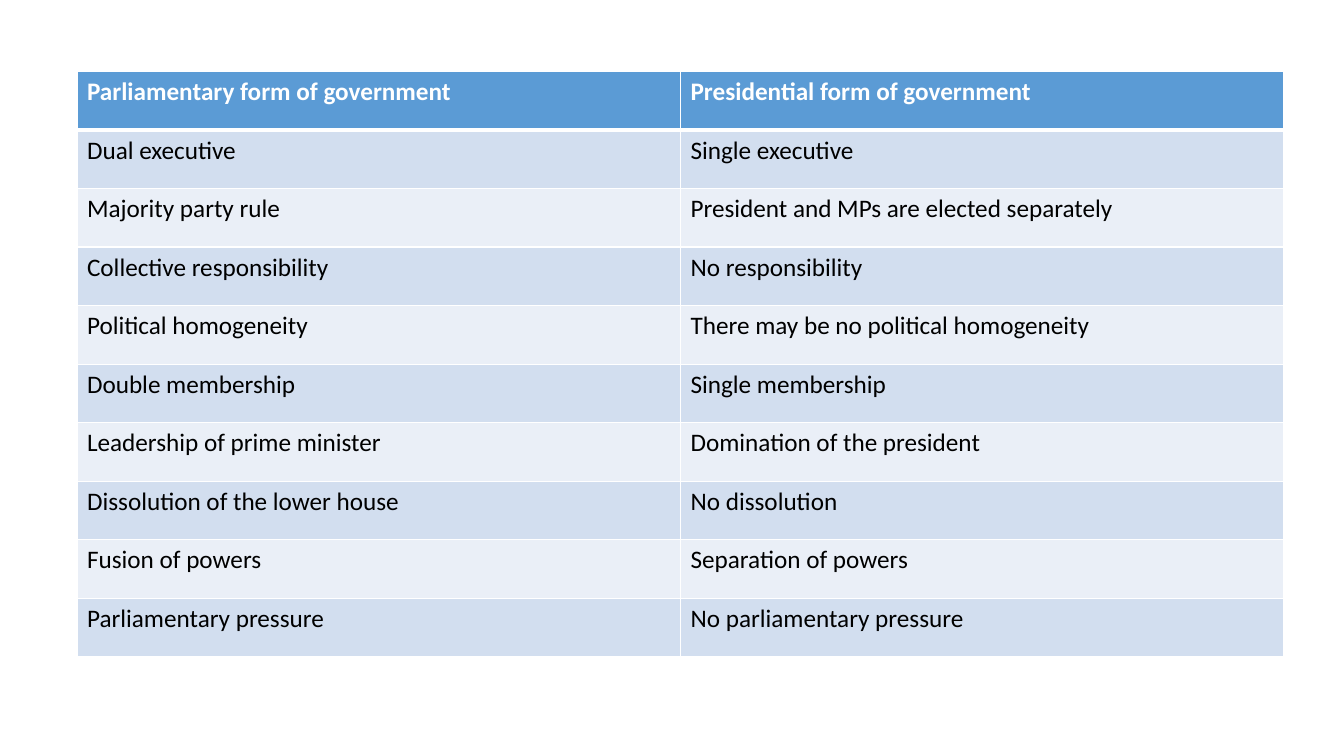
from lxml import etree
from pptx import Presentation
from pptx import util as u
from pptx.dml.color import RGBColor
from pptx.oxml import ns

FONT = "Calibri"
WHITE, BLACK = "FFFFFF", "000000"
HEADER_FILL = "5B9BD5"
BAND_FILLS = ("EAEFF7", "D2DEEF")
THIN, THICK = 1, 3

COMPARISON = [
    ("Parliamentary form of government", "Presidential form of government"),
    ("Dual executive", "Single executive"),
    ("Majority party rule", "President and MPs are elected separately"),
    ("Collective responsibility", "No responsibility"),
    ("Political homogeneity", "There may be no political homogeneity"),
    ("Double membership", "Single membership"),
    ("Leadership of prime minister", "Domination of the president"),
    ("Dissolution of the lower house", "No dissolution"),
    ("Fusion of powers", "Separation of powers"),
    ("Parliamentary pressure", "No parliamentary pressure"),
]


def color(hex_code):
    """Return the RGB colour for a hex string."""
    return RGBColor.from_string(hex_code)


def set_borders(cell, top, bottom):
    """Draw white cell borders, with top and bottom widths in points."""
    tc_pr = cell._tc.get_or_add_tcPr()
    widths = {"lnL": THIN, "lnR": THIN, "lnT": top, "lnB": bottom}
    for i, (side, width) in enumerate(widths.items()):
        line = etree.Element(ns.qn("a:" + side), w=str(u.Pt(width)))
        fill = etree.SubElement(line, ns.qn("a:solidFill"))
        etree.SubElement(fill, ns.qn("a:srgbClr"), val=WHITE)
        tc_pr.insert(i, line)


def fill_cell(cell, words, row):
    """Write and format one cell; row 0 is the header."""
    header = row == 0
    cell.text_frame.text = words
    font = cell.text_frame.paragraphs[0].runs[0].font
    font.name, font.size, font.bold = FONT, u.Pt(18), header
    font.color.rgb = color(WHITE if header else BLACK)
    cell.fill.solid()
    cell.fill.fore_color.rgb = color(HEADER_FILL if header else BAND_FILLS[row % 2])
    set_borders(cell, THICK if row == 1 else THIN, THICK if header else THIN)


def add_comparison(s, rows, left, top, width, height):
    """Add a table with equal rows and columns; lengths are in cm."""
    frame = s.shapes.add_table(len(rows), len(rows[0]), u.Cm(left), u.Cm(top),
                               u.Cm(width), u.Cm(height))
    for r, row in enumerate(rows):
        for c, words in enumerate(row):
            fill_cell(frame.table.cell(r, c), words, r)


def main():
    """Build the slide and save it."""
    prs = Presentation()
    prs.slide_width, prs.slide_height = u.Cm(33.87), u.Cm(19.05)
    s = prs.slides.add_slide(prs.slide_layouts[6])
    add_comparison(s, COMPARISON, left=1.94, top=1.8, width=30.42, height=14.75)
    prs.save("out.pptx")


main()
